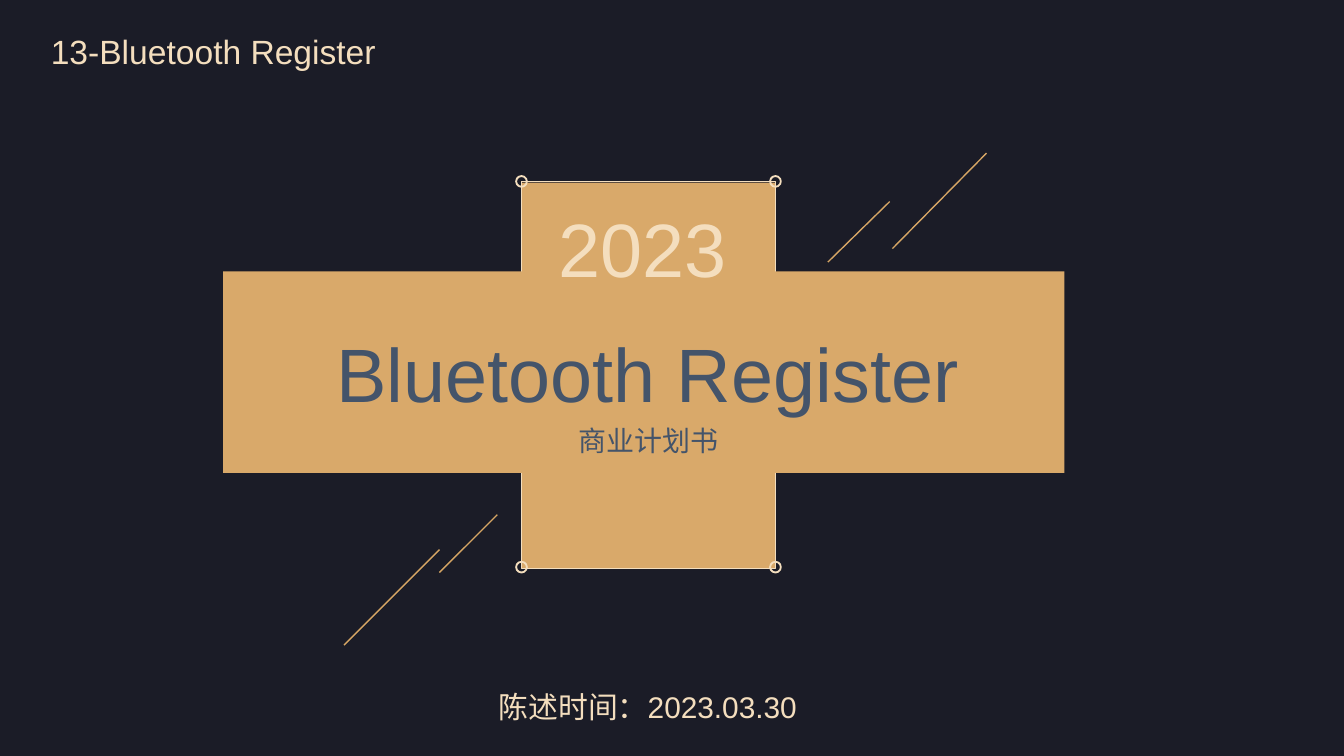
from pptx import Presentation
from pptx.dml.color import RGBColor
from pptx.enum.shapes import MSO_CONNECTOR as CONN, MSO_SHAPE as SHAPE
from pptx.enum.text import MSO_AUTO_SIZE as FIT, PP_ALIGN as ALIGN
from pptx.oxml.ns import qn
from pptx.util import Inches, Pt
from lxml import etree

COLORS = {
    "night": "1B1C27",
    "gold": "D9A96A",
    "cream": "F4DEBE",
    "slate": "44546A",
    "stroke": "D7A665",
}


class Deck:
    font = "Arial"
    spacing = 1.2

    def __init__(self, width):
        self.prs = Presentation()
        self.prs.slide_width = Inches(width)
        self.prs.slide_height = Inches(width * 9 / 16)

    def color(self, name):
        return RGBColor.from_string(COLORS[name])

    def slide(self, background):
        self.s = self.prs.slides.add_slide(self.prs.slide_layouts[6])
        fill = self.s.background.fill
        fill.solid()
        fill.fore_color.rgb = self.color(background)

    def shape(self, kind, box, fill=None, line=None):
        sp = self.s.shapes.add_shape(kind, *map(Inches, box))
        sp.shadow.inherit = False
        if fill:
            sp.fill.solid()
            sp.fill.fore_color.rgb = self.color(fill)
        else:
            sp.fill.background()
        if line:
            sp.line.color.rgb = self.color(line)
            sp.line.width = Pt(1)
        else:
            sp.line.fill.background()

    def text(self, words, box, size, color, align=ALIGN.CENTER, fit=FIT.SHAPE_TO_FIT_TEXT):
        tf = self.s.shapes.add_textbox(*map(Inches, box)).text_frame
        tf.word_wrap = True
        tf.auto_size = fit
        p = tf.paragraphs[0]
        p.alignment = align
        p.line_spacing = self.spacing
        r = p.add_run()
        r.text = words
        r.font.name = self.font
        r.font.size = Pt(size)
        r.font.color.rgb = self.color(color)

    def line(self, ends, color):
        sp = self.s.shapes.add_connector(CONN.STRAIGHT, *map(Inches, ends))
        sp.line.color.rgb = self.color(color)
        sp.line.width = Pt(0.75)
        etree.SubElement(sp._element.spPr, qn("a:effectLst"))


def main():
    deck = Deck(10)
    deck.slide("night")

    deck.shape(SHAPE.RECTANGLE, (3.88, 1.36, 1.89, 2.87), fill="gold")
    deck.shape(SHAPE.RECTANGLE, (3.88, 1.35, 1.89, 2.88), line="cream")
    deck.shape(SHAPE.RECTANGLE, (1.66, 2.02, 6.26, 1.5), fill="gold")

    deck.text("Bluetooth Register", (1.69, 2.25, 6.26, 0.92), 40.5, "slate")
    deck.text("商业计划书", (1.82, 3.05, 6.01, 0.4), 15, "slate")
    deck.text("陈述时间：2023.03.30", (3.55, 5.02, 2.54, 0.42), 16, "cream")
    deck.text("13-Bluetooth Register", (0.28, 0.12, 3.14, 0.88), 18, "cream",
              ALIGN.LEFT, FIT.NONE)
    deck.text("2023", (4.06, 1.32, 1.97, 0.92), 40.5, "cream", ALIGN.LEFT)

    for ends in [
        (2.56, 4.8, 3.27, 4.09),
        (6.64, 1.85, 7.34, 1.14),
        (6.16, 1.95, 6.62, 1.5),
        (3.27, 4.26, 3.7, 3.83),
    ]:
        deck.line(ends, "stroke")

    for top in (1.31, 4.18):
        for left in (3.84, 5.73):
            deck.shape(SHAPE.OVAL, (left, top, 0.08, 0.08), line="cream")

    deck.prs.save("out.pptx")


if __name__ == "__main__":
    main()
